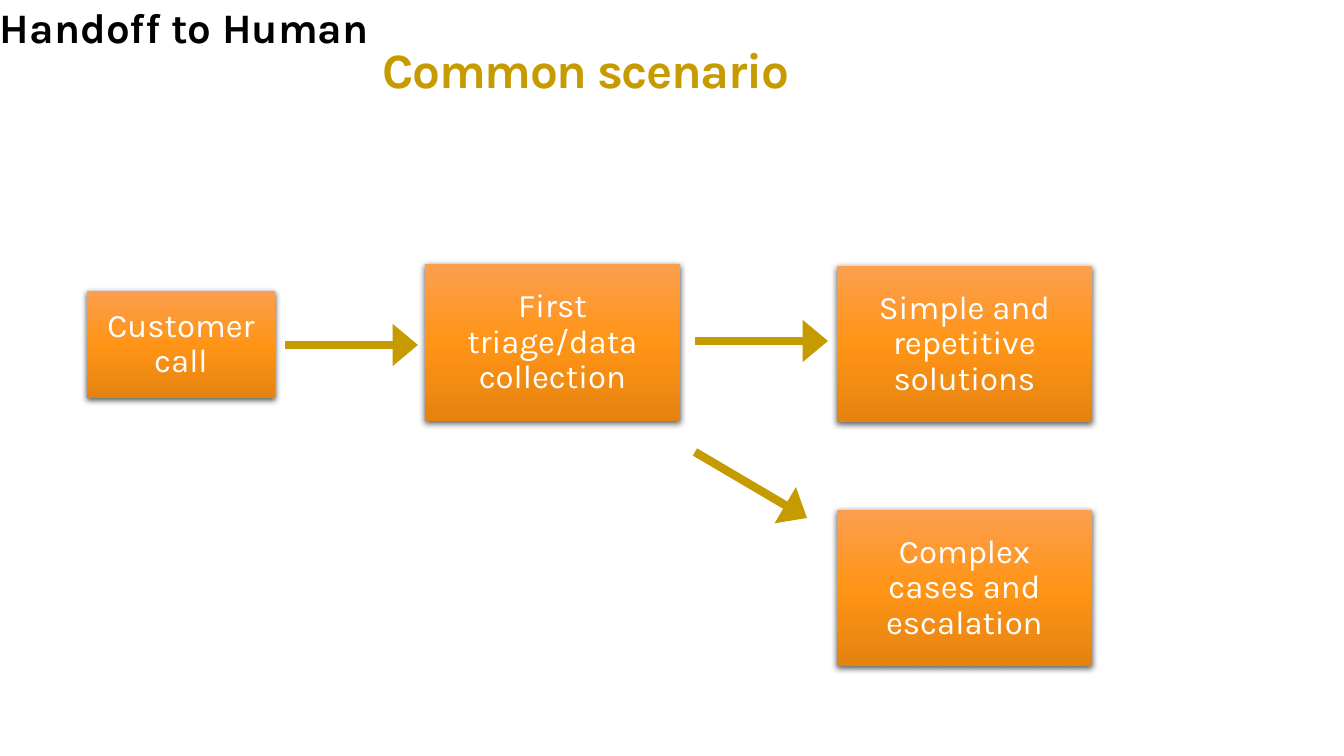
"""Build the call handoff slide: a common scenario flow from customer call to outcome."""
import dataclasses

import lxml.etree
import pptx
import pptx.dml.color
import pptx.enum.shapes
import pptx.enum.text
import pptx.oxml
import pptx.oxml.ns
import pptx.util

SLIDE = (1344, 756)
HEADINGS = [
    {"text": "Handoff to Human", "at": (0, 7, 1285, 99), "inset": (0, 0),
     "size": "title", "color": "black", "spacing": 0},
    {"text": "Common scenario", "at": (367, 36, 449, 91), "inset": (16, 10),
     "size": "subtitle", "color": "gold", "spacing": -100},
]
STEPS = [
    ("Customer call", (87, 291, 188, 107)),
    ("First triage/data collection", (425, 264, 255, 157)),
    ("Simple and repetitive solutions", (837, 266, 255, 156)),
    ("Complex cases and escalation", (837, 510, 255, 156)),
]
STEP_INSET = (20, 16)
ARROWS = [
    ((285, 345), (418, 345)),
    ((695, 341), (828, 341)),
    ((695, 452), (807, 518)),
]


@dataclasses.dataclass(frozen=True)
class Theme:
    font: str = "Karla"
    title: float = 30
    subtitle: float = 35.3
    step: float = 23.5
    arrow: float = 6
    black: str = "000000"
    gold: str = "C59B00"
    white: str = "FFFFFF"
    gradient: tuple = ((0, "FC9F4F"), (50, "FF9416"), (100, "E58311"))


THEME = Theme()


def px(length):
    return round(length * 914400 / 100.8)


def rgb(color):
    return pptx.dml.color.RGBColor.from_string(color)


def write(box, text, inset, size, color):
    frame = box.text_frame
    frame.word_wrap = True
    frame.margin_left = frame.margin_right = px(inset[0])
    frame.margin_top = frame.margin_bottom = px(inset[1])
    para = frame.paragraphs[0]
    para.text = text
    para.line_spacing = 0.9
    para.font.name = THEME.font
    para.font.size = pptx.util.Pt(size)
    para.font.color.rgb = rgb(color)
    return para


def add_heading(page, heading):
    box = page.shapes.add_textbox(*map(px, heading["at"]))
    para = write(box, heading["text"], heading["inset"],
                 getattr(THEME, heading["size"]), getattr(THEME, heading["color"]))
    para.font.bold = True
    if heading["spacing"]:
        para.runs[0]._r.get_or_add_rPr().set("spc", str(heading["spacing"]))


def add_step(page, text, place):
    box = page.shapes.add_shape(pptx.enum.shapes.MSO_SHAPE.RECTANGLE, *map(px, place))
    box.line.fill.background()
    box.shadow.inherit = False
    namespace = pptx.oxml.ns.nsdecls("a")
    stops = "".join(f'<a:gs pos="{position * 1000}"><a:srgbClr val="{color}"/></a:gs>'
                    for position, color in THEME.gradient)
    gradient = pptx.oxml.parse_xml(
        f'<a:gradFill {namespace} rotWithShape="1"><a:gsLst>{stops}</a:gsLst>'
        '<a:lin ang="5400000" scaled="0"/></a:gradFill>')
    shadow = pptx.oxml.parse_xml(
        f'<a:outerShdw {namespace} blurRad="57150" dist="19050" dir="5400000" '
        'algn="ctr" rotWithShape="0">'
        f'<a:srgbClr val="{THEME.black}"><a:alpha val="63000"/></a:srgbClr></a:outerShdw>')
    properties = box._element.spPr
    properties.find(pptx.oxml.ns.qn("a:prstGeom")).addnext(gradient)
    properties.find(pptx.oxml.ns.qn("a:effectLst")).append(shadow)
    para = write(box, text, STEP_INSET, THEME.step, THEME.white)
    para.alignment = pptx.enum.text.PP_ALIGN.CENTER
    box.text_frame.vertical_anchor = pptx.enum.text.MSO_ANCHOR.MIDDLE


def add_arrow(page, start, end):
    arrow = page.shapes.add_connector(
        pptx.enum.shapes.MSO_CONNECTOR.STRAIGHT, *map(px, start + end))
    arrow.line.color.rgb = rgb(THEME.gold)
    arrow.line.width = pptx.util.Pt(THEME.arrow)
    lxml.etree.SubElement(arrow.line._get_or_add_ln(), pptx.oxml.ns.qn("a:tailEnd"),
                          type="triangle", w="lg", len="med")
    lxml.etree.SubElement(arrow._element.spPr, pptx.oxml.ns.qn("a:effectLst"))


def main():
    deck = pptx.Presentation()
    deck.slide_width, deck.slide_height = map(px, SLIDE)
    page = deck.slides.add_slide(deck.slide_layouts[6])
    for heading in HEADINGS:
        add_heading(page, heading)
    for text, place in STEPS:
        add_step(page, text, place)
    for start, end in ARROWS:
        add_arrow(page, start, end)
    deck.save("out.pptx")


if __name__ == "__main__":
    main()
